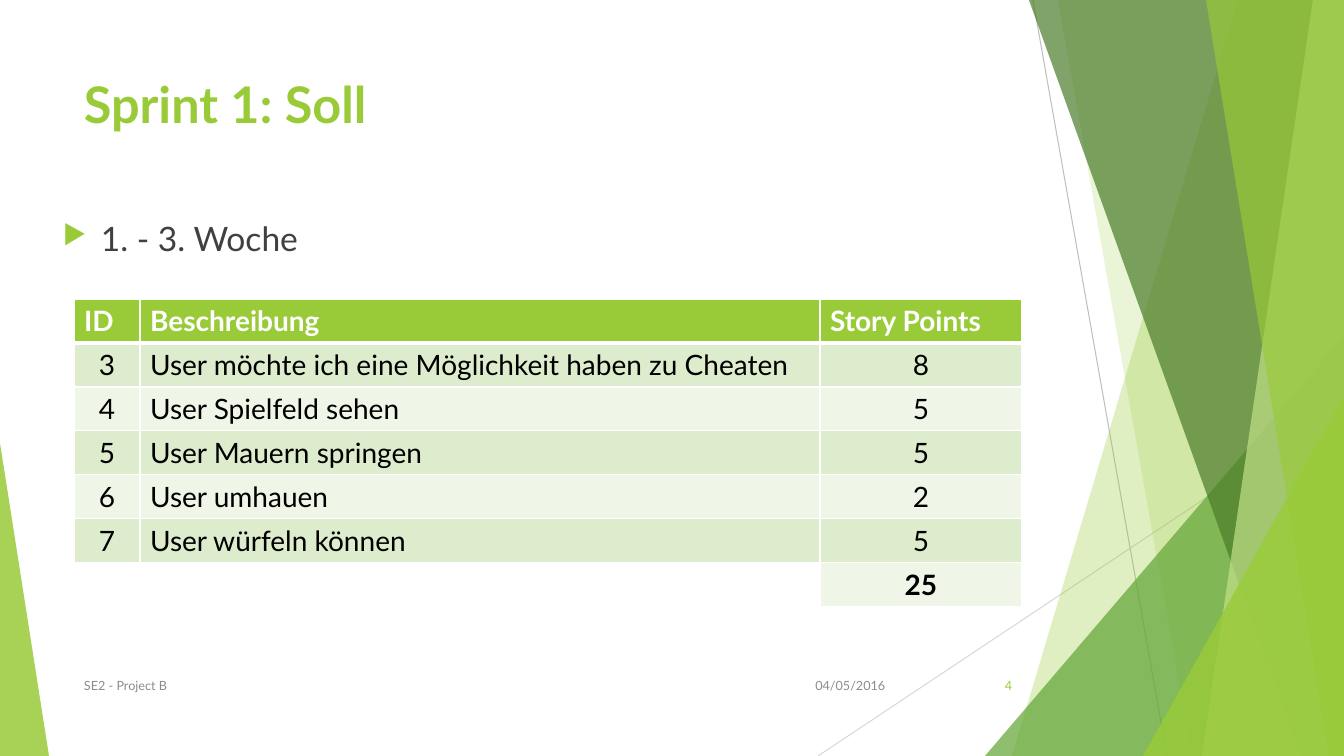
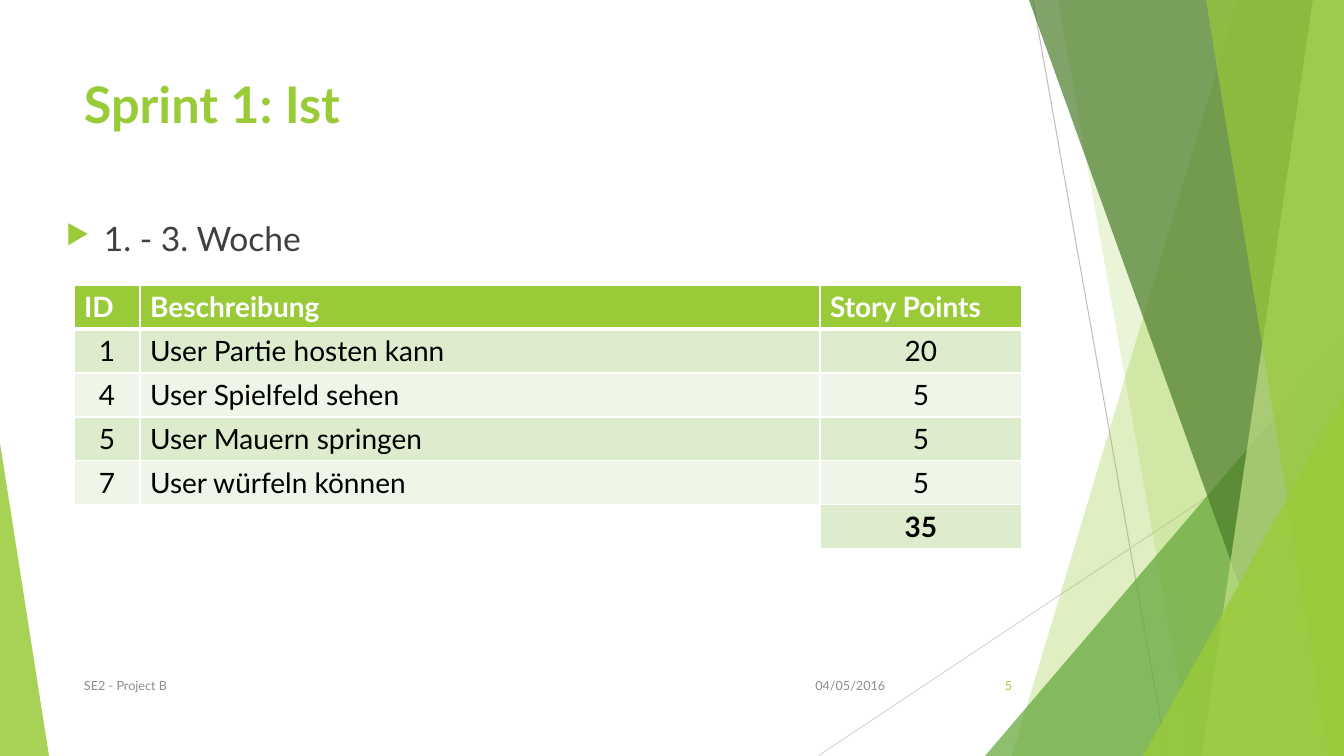
from lxml import etree
from pptx import Presentation
from pptx import util as u
from pptx.dml.color import RGBColor
from pptx.enum import shapes, text
from pptx.oxml import ns

SCALE = u.Inches(1) / 100.8
WIDTH, HEIGHT = 1344, 756
FONT = "Lato"
GREEN, MID_GREEN, DARK_GREEN, PALE_GREEN = "99CB38", "63A537", "4A7C29", "C2E088"
BANDS = ["DEECCE", "EFF6E8"]
WHITE, BLACK, INK, GREY = "FFFFFF", "000000", "404040", "8C8C8C"
COLUMNS = [66, 680, 202]
ROW_HEIGHT = 44
LEFT, MIDDLE, RIGHT = text.PP_ALIGN.LEFT, text.PP_ALIGN.CENTER, text.PP_ALIGN.RIGHT


def px(length):
    return u.Emu(round(length * SCALE))


def color(value):
    return RGBColor.from_string(value)


def add_element(parent, tag, **attributes):
    return etree.SubElement(parent, ns.qn(tag), attributes)


def style(para, size, ink, bold=False, align=LEFT):
    para.alignment = align
    font = para.font
    font.name, font.size, font.bold = FONT, u.Pt(size), bold
    font.color.rgb = color(ink)


def add_text(page, box, words, size, ink, bold=False, align=LEFT,
             anchor=text.MSO_ANCHOR.TOP):
    frame = page.shapes.add_textbox(*map(px, box)).text_frame
    frame.word_wrap = True
    frame.vertical_anchor = anchor
    para = frame.paragraphs[0]
    para.text = words
    style(para, size, ink, bold, align)
    return para


def paint(shape, fill, opacity):
    shape.shadow.inherit = False
    shape.fill.solid()
    shape.fill.fore_color.rgb = color(fill)
    shape.line.fill.background()
    value = shape.fill._xPr.find(ns.qn("a:solidFill"))[0]
    add_element(value, "a:alpha", val=str(opacity * 1000))


def add_line(page, start, end, ink):
    line = page.shapes.add_connector(
        shapes.MSO_CONNECTOR.STRAIGHT, *map(px, (*start, *end)))
    line.line.color.rgb = color(ink)
    line.line.width = u.Pt(0.75)
    add_element(line._element.spPr, "a:effectLst")


def add_facet(page, box, top_x, bottom_x, fill, opacity):
    left, top, width, height = box
    outline = page.shapes.build_freeform(top_x, 0, scale=SCALE)
    outline.add_line_segments([(width, 0), (width, height), (bottom_x, height)])
    paint(outline.convert_to_shape(px(left), px(top)), fill, opacity)


def add_triangle(page, box, apex, fill, opacity):
    shape = page.shapes.add_shape(
        shapes.MSO_SHAPE.ISOSCELES_TRIANGLE, *map(px, box))
    shape.adjustments[0] = apex
    paint(shape, fill, opacity)


def add_backdrop(page, box):
    left, top, width, height = box
    right, bottom = left + width, top + height

    def right_corner(w, h, fill, opacity):
        add_triangle(page, (right - w, bottom - h, w, h), 1, fill, opacity)

    add_line(page, (left + 1033, top), (left + 1167, bottom), "BFBFBF")
    add_line(page, (right, top + 406), (left + 818, bottom), "D9D9D9")
    add_facet(page, box, 1238, 1012, GREEN, 30)
    add_facet(page, box, 1058, 1192, GREEN, 20)
    right_corner(359, 420, MID_GREEN, 72)
    add_facet(page, box, 1029, 1301, DARK_GREEN, 70)
    add_facet(page, box, 1313, 1202, PALE_GREEN, 70)
    add_facet(page, box, 1206, 1329, GREEN, 65)
    right_corner(201, 360, GREEN, 80)
    add_triangle(page, (left, bottom - 313, 49, 313), 0, GREEN, 85)


def add_footer(page, box, number):
    left, top, width, height = box
    center = text.MSO_ANCHOR.MIDDLE
    add_text(page, (left, top, 695, height), "SE2 - Project B", 9, GREY,
             anchor=center)
    add_text(page, (left + 720, top, 101, height), "04/05/2016", 9, GREY,
             align=RIGHT, anchor=center)
    add_text(page, (left + width - 76, top, 76, height), str(number), 9, GREEN,
             align=RIGHT, anchor=center)


def add_bullet(page, box, words):
    properties = add_text(page, box, words, 24, INK)._p.get_or_add_pPr()
    indent = px(38)
    properties.set("marL", str(indent))
    properties.set("indent", str(-indent))
    add_element(add_element(properties, "a:buClr"), "a:srgbClr", val=GREEN)
    add_element(properties, "a:buSzPct", val="80000")
    add_element(properties, "a:buChar", char="▶")


def add_borders(cell, top, bottom):
    properties = cell._tc.get_or_add_tcPr()
    for side, points in (("L", 1), ("R", 1), ("T", top), ("B", bottom)):
        line = add_element(properties, f"a:ln{side}", w=str(u.Pt(points)))
        add_element(add_element(line, "a:solidFill"), "a:srgbClr", val=WHITE)


def add_backlog(page, box, stories):
    left, top = box
    total = sum(points for _, _, points in stories)
    rows = [("ID", "Beschreibung", "Story Points"), *stories, ("", "", total)]
    table = page.shapes.add_table(
        len(rows), len(COLUMNS), px(left), px(top),
        px(sum(COLUMNS)), px(ROW_HEIGHT * len(rows))).table
    for column, width in zip(table.columns, COLUMNS):
        column.width = px(width)
    for r, row in enumerate(rows):
        table.rows[r].height = px(ROW_HEIGHT)
        header, last = r == 0, r == len(rows) - 1
        for c, value in enumerate(row):
            cell = table.cell(r, c)
            cell.text = str(value)
            add_borders(cell, 3 if r == 1 else 1, 3 if header else 1)
            if value == "":
                cell.fill.background()
            else:
                cell.fill.solid()
                cell.fill.fore_color.rgb = color(
                    GREEN if header else BANDS[(r - 1) % 2])
            style(cell.text_frame.paragraphs[0], 20, WHITE if header else BLACK,
                  header or last, LEFT if header or c == 1 else MIDDLE)


def add_sprint(deck, number, title, bullet_left, table_top, stories):
    page = deck.slides.add_slide(deck.slide_layouts[6])
    add_backdrop(page, (0, 0, WIDTH, HEIGHT))
    add_text(page, (74, 68, 948, 145), title, 36, GREEN, bold=True)
    add_bullet(page, (bullet_left, 213, 948, 88), "1. - 3. Woche")
    add_backlog(page, (74, table_top), stories)
    add_footer(page, (74, 666, 948, 40), number)


def main():
    deck = Presentation()
    deck.slide_width, deck.slide_height = px(WIDTH), px(HEIGHT)
    shared = [
        (4, "User Spielfeld sehen", 5),
        (5, "User Mauern springen", 5),
    ]
    dice = (7, "User würfeln können", 5)
    add_sprint(deck, 4, "Sprint 1: Soll", 53, 299, [
        (3, "User möchte ich eine Möglichkeit haben zu Cheaten", 8),
        *shared,
        (6, "User umhauen", 2),
        dice,
    ])
    add_sprint(deck, 5, "Sprint 1: Ist", 56, 285, [
        (1, "User Partie hosten kann", 20),
        *shared,
        dice,
    ])
    deck.save("out.pptx")


if __name__ == "__main__":
    main()
